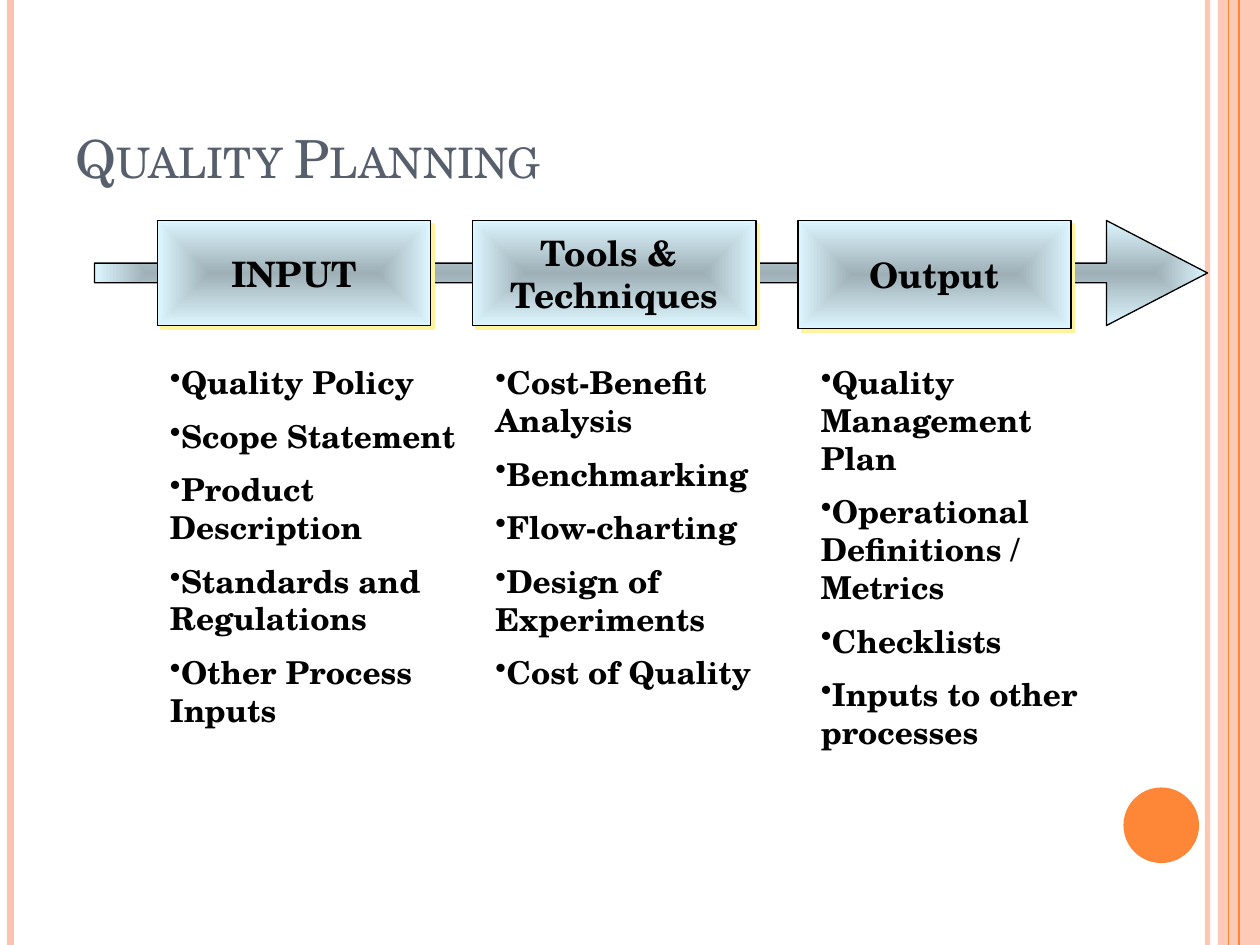
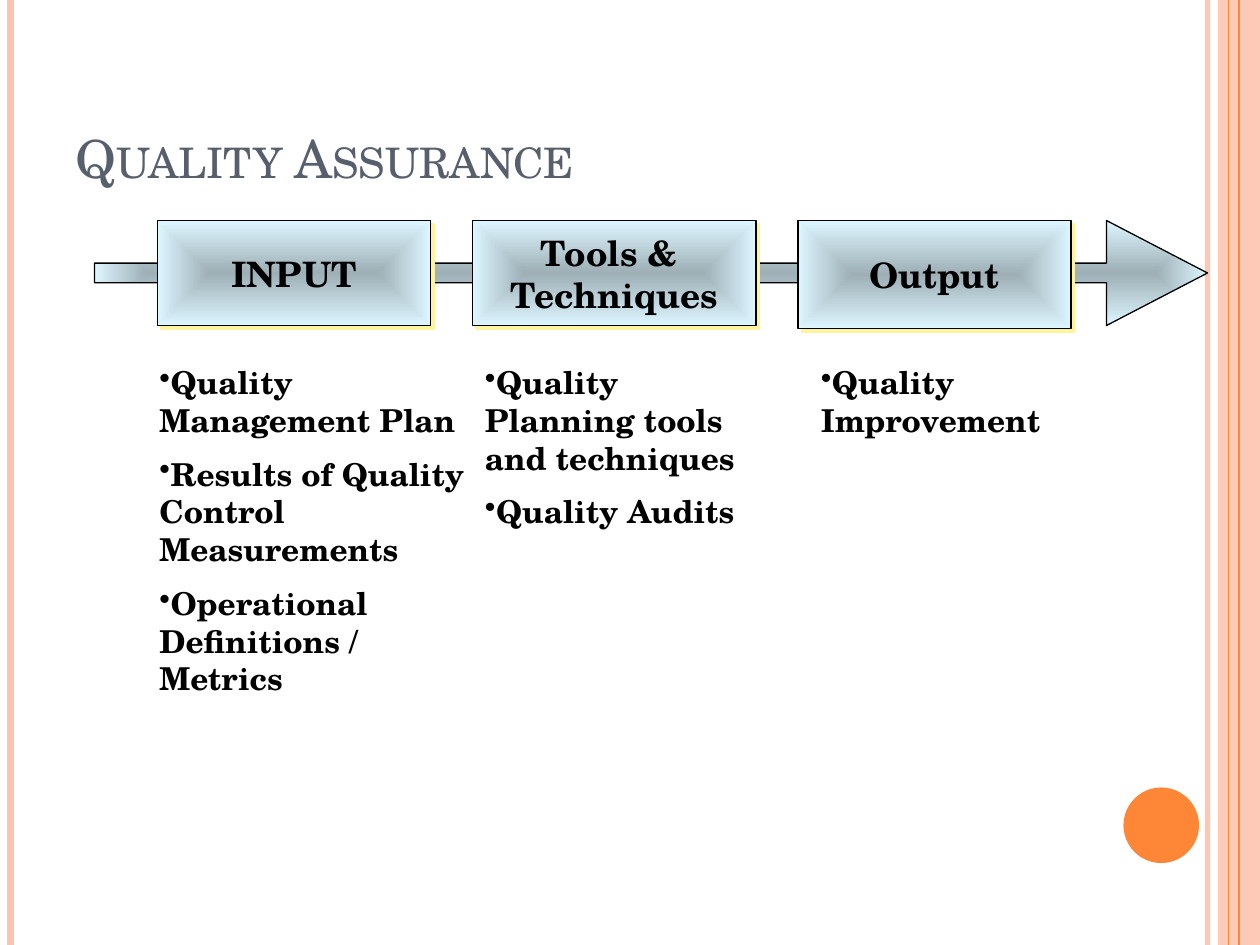
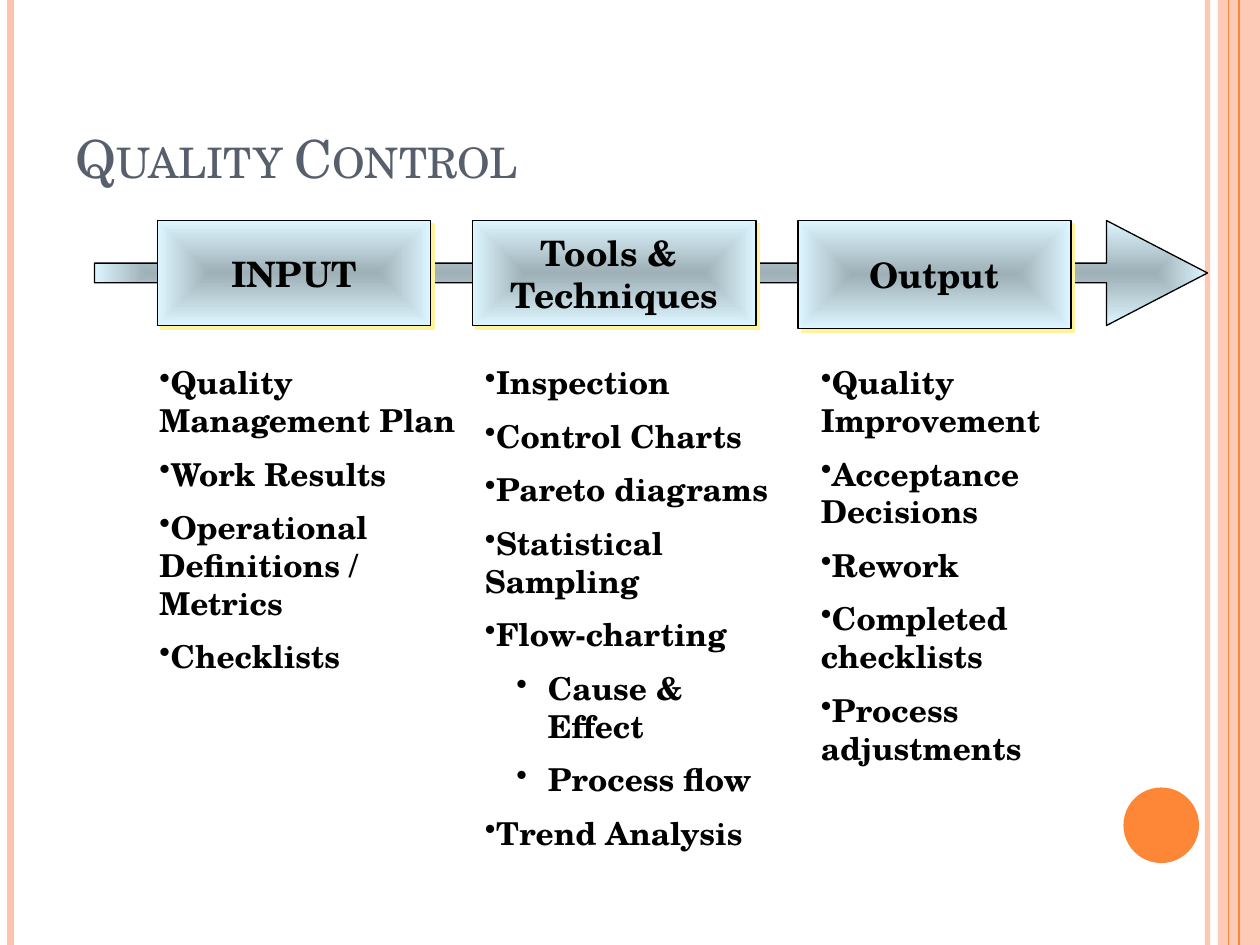
import pptx
import pptx.dml.color
import pptx.enum.shapes
import pptx.enum.text
import pptx.oxml
import pptx.oxml.ns
import pptx.util
import lxml.etree

NAMESPACE = pptx.oxml.ns.nsdecls("a")
FONT = "TeX Gyre Schola"
BLACK, PEACH, ORANGE, SLATE = "000000", "FEC3AE", "FE8637", "575F6D"
SHAPES = pptx.enum.shapes.MSO_SHAPE
ANCHORS = pptx.enum.text.MSO_ANCHOR
CENTER = pptx.enum.text.PP_ALIGN.CENTER

presentation = pptx.Presentation()
presentation.slide_width = pptx.util.Inches(10)
presentation.slide_height = pptx.util.Inches(7.5)
CELL = presentation.slide_width // 120


def paint(fill, color, opacity=100):
    fill.solid()
    fill.fore_color.rgb = pptx.dml.color.RGBColor.from_string(color)
    if opacity < 100:
        color_element = fill._xPr.find(".//" + pptx.oxml.ns.qn("a:srgbClr"))
        lxml.etree.SubElement(color_element, pptx.oxml.ns.qn("a:alpha"), val=str(opacity * 1000))


def write_text(shape, text, size=18, color=BLACK, bold=False, small_caps=False, align=None,
               anchor=ANCHORS.TOP, wrap=True, bullets=False):
    frame = shape.text_frame
    frame.word_wrap = wrap
    frame.vertical_anchor = anchor
    for index, line in enumerate(text.split("\n")):
        paragraph = frame.paragraphs[0] if index == 0 else frame.add_paragraph()
        paragraph.alignment = align
        if bullets:
            properties = paragraph._p.get_or_add_pPr()
            if line.startswith("> "):
                line = line[2:]
                paragraph.level = 1
                properties.set("marL", str(6 * CELL))
                properties.set("indent", str(-3 * CELL))
            if index:
                paragraph.space_before = pptx.util.Pt(size / 2)
            lxml.etree.SubElement(properties, pptx.oxml.ns.qn("a:buChar"), char="•")
        run = paragraph.add_run()
        run.text = line
        run.font.name = FONT
        run.font.size = pptx.util.Pt(size)
        run.font.bold = bold
        paint(run.font.fill, color)
        if small_caps:
            run.font._element.set("cap", "small")


# column, width in points, colour, opacity
edge_lines = [(115, 3, PEACH, 93), (1, 4.5, PEACH, 100), (118, 1.5, ORANGE, 100), (117, 0.75, ORANGE, 100)]
side_shapes = [(SHAPES.RECTANGLE, 116, 0, 4, 90, PEACH, 87), (SHAPES.OVAL, 107, 75, 7.2, 7.2, ORANGE, 100)]
flow_shapes = [
    (SHAPES.RIGHT_ARROW, 9, 106, 10, "rect", None),
    (SHAPES.RECTANGLE, 15, 26, 10, "shape", "INPUT"),
    (SHAPES.RECTANGLE, 45, 27, 10, "shape", "Tools & \nTechniques"),
    (SHAPES.RECTANGLE, 76, 26, 10.3, "shape", "Output"),
]
column_widths = [33, 30, 29]

# title, then (column, rows, bullets) for each list
slides = [
    ("Quality Planning", [
        (15, 30, "Quality Policy\nScope Statement\nProduct Description\n"
                 "Standards and Regulations\nOther Process Inputs"),
        (46, 33.7, "Cost-Benefit Analysis\nBenchmarking\nFlow-charting\n"
                   "Design of Experiments\nCost of Quality"),
        (77, 32, "Quality Management Plan\nOperational Definitions / Metrics\n"
                 "Checklists\nInputs to other processes"),
    ]),
    ("Quality Assurance", [
        (14, 26.4, "Quality Management Plan\nResults of Quality Control Measurements\n"
                   "Operational Definitions / Metrics"),
        (45, 13.8, "Quality Planning tools and techniques\nQuality Audits"),
        (77, 8.4, "Quality Improvement"),
    ]),
    ("Quality Control", [
        (14, 32, "Quality Management Plan\nWork Results\n"
                 "Operational Definitions / Metrics\nChecklists"),
        (45, 54, "Inspection\nControl Charts\nPareto diagrams\nStatistical Sampling\n"
                 "Flow-charting\n> Cause & Effect\n> Process flow\nTrend Analysis"),
        (77, 41, "Quality Improvement\nAcceptance Decisions\nRework\n"
                 "Completed checklists\nProcess adjustments"),
    ]),
]

for title, lists in slides:
    slide = presentation.slides.add_slide(presentation.slide_layouts[6])

    for kind, column, row, columns, rows, color, opacity in side_shapes:
        shape = slide.shapes.add_shape(kind, column * CELL, row * CELL, int(columns * CELL), int(rows * CELL))
        shape.shadow.inherit = False
        paint(shape.fill, color, opacity)
        shape.line.fill.background()

    for column, width, color, opacity in edge_lines:
        line = slide.shapes.add_connector(pptx.enum.shapes.MSO_CONNECTOR.STRAIGHT,
                                          column * CELL, 0, column * CELL, presentation.slide_height)
        line.line.width = pptx.util.Pt(width)
        paint(line.line.fill, color, opacity)
        lxml.etree.SubElement(line._element.spPr, pptx.oxml.ns.qn("a:effectLst"))

    title_box = slide.shapes.add_textbox(6 * CELL, int(3.6 * CELL), 98 * CELL, 15 * CELL)
    write_text(title_box, title, size=30, color=SLATE, small_caps=True, anchor=ANCHORS.BOTTOM)

    for kind, column, columns, rows, gradient_path, label in flow_shapes:
        shape = slide.shapes.add_shape(kind, column * CELL, 21 * CELL, columns * CELL, int(rows * CELL))
        shape.shadow.inherit = False
        properties = shape._element.spPr
        properties.find(pptx.oxml.ns.qn("a:prstGeom")).addnext(pptx.oxml.parse_xml(
            f'<a:gradFill {NAMESPACE} rotWithShape="0"><a:gsLst>'
            '<a:gs pos="0"><a:srgbClr val="DDF6FF"><a:shade val="46275"/></a:srgbClr></a:gs>'
            '<a:gs pos="100000"><a:srgbClr val="DDF6FF"/></a:gs></a:gsLst>'
            f'<a:path path="{gradient_path}">'
            '<a:fillToRect l="50000" t="50000" r="50000" b="50000"/></a:path></a:gradFill>'))
        shape.line.width = pptx.util.Pt(0.75)
        paint(shape.line.fill, BLACK)
        if label:
            properties.find(pptx.oxml.ns.qn("a:effectLst")).append(pptx.oxml.parse_xml(
                f'<a:outerShdw {NAMESPACE} dist="{pptx.util.Pt(2.8)}" dir="2700000" algn="ctr" rotWithShape="0">'
                '<a:srgbClr val="FFF39D"/></a:outerShdw>'))
            write_text(shape, label, size=20, bold=True, align=CENTER, anchor=ANCHORS.MIDDLE, wrap=False)
        else:
            shape.adjustments[0] = 0.188
            shape.adjustments[1] = 0.962

    for (column, rows, items), columns in zip(lists, column_widths):
        list_box = slide.shapes.add_textbox(column * CELL, 34 * CELL, columns * CELL, int(rows * CELL))
        write_text(list_box, items, bold=True, bullets=True)

presentation.save("out.pptx")
